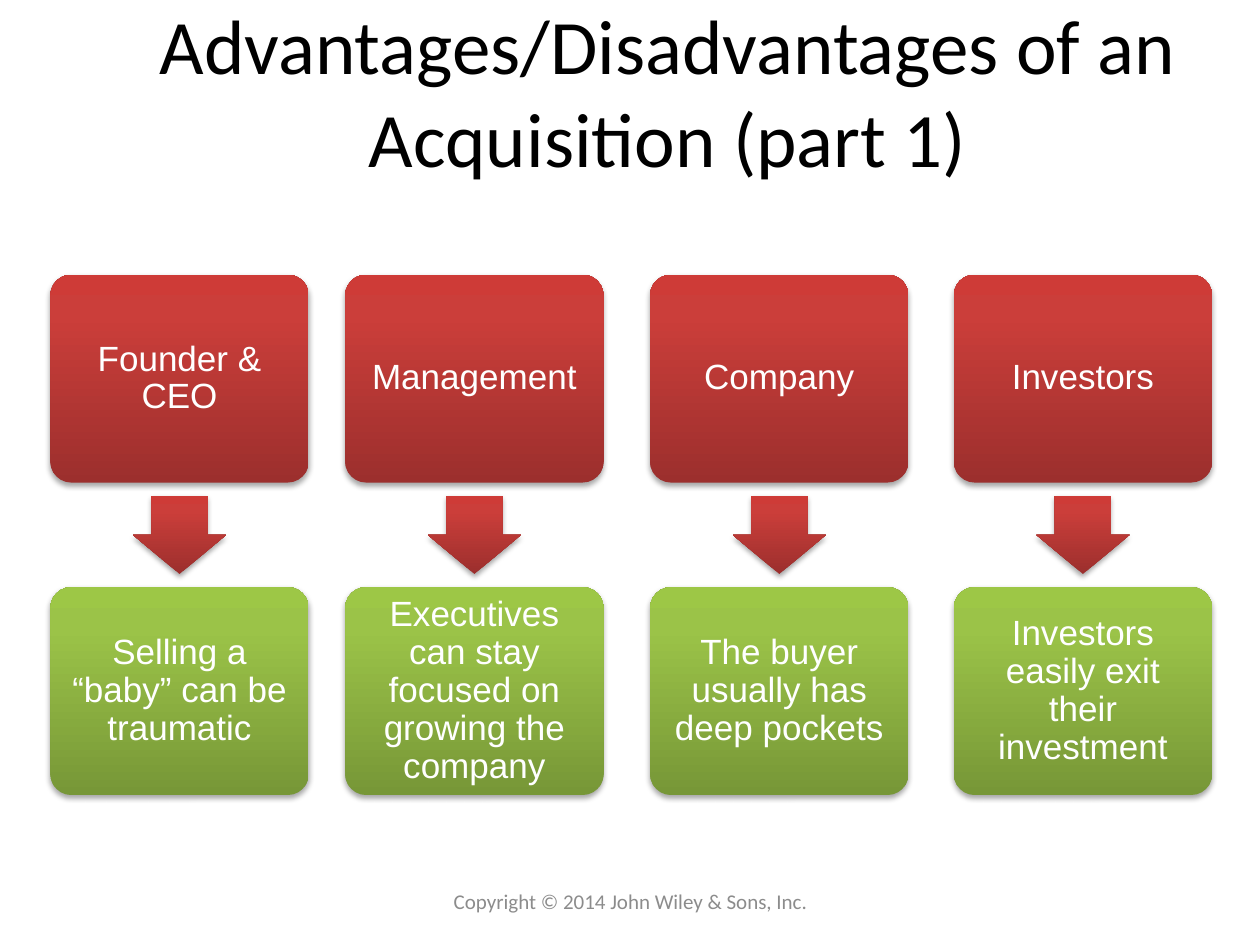
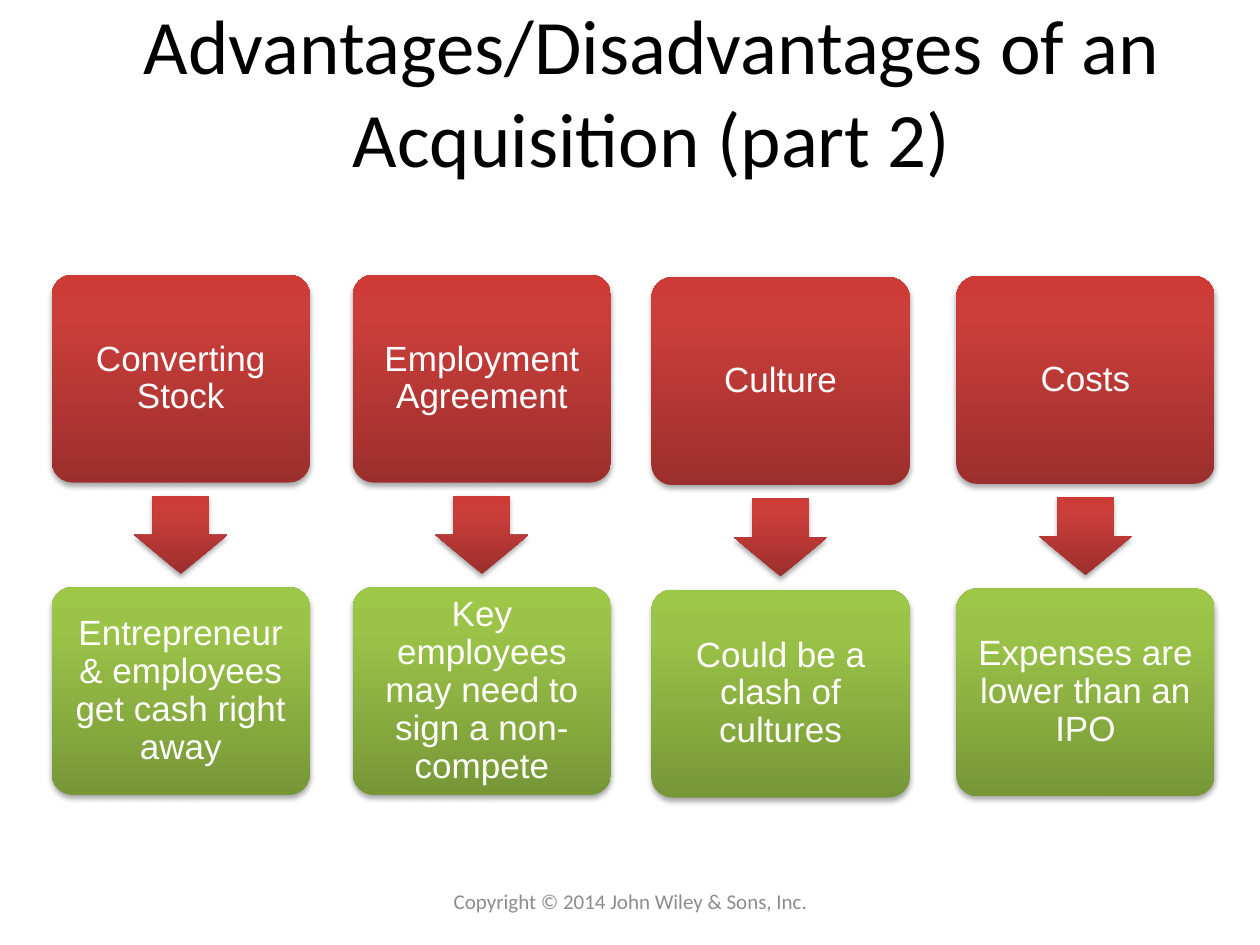
import copy
import pptx
import pptx.util
import pptx.dml.color
import pptx.enum.shapes
import pptx.enum.text
import pptx.oxml
import pptx.oxml.ns

Inches, Pt = pptx.util.Inches, pptx.util.Pt
SHAPES = pptx.enum.shapes.MSO_SHAPE
qn = pptx.oxml.ns.qn

COPYRIGHT = "Copyright © 2014 John Wiley & Sons, Inc."
SLIDES = [
    {
        "title": "Advantages/Disadvantages of an Acquisition (part 1)",
        "title_box": (0.64, 0.09, 9.32, 1.25),
        "columns": [
            (0.4, 2.18, "Founder & CEO", "Selling a “baby” can be traumatic"),
            (2.74, 2.18, "Management", "Executives can stay focused on growing the company"),
            (5.16, 2.18, "Company", "The buyer usually has deep pockets"),
            (7.57, 2.18, "Investors", "Investors easily exit their investment"),
        ],
    },
    {
        "title": "Advantages/Disadvantages of an Acquisition (part 2)",
        "title_box": (0.63, 0.09, 9.09, 1.25),
        "columns": [
            (0.41, 2.18, "Converting Stock", "Entrepreneur & employees get cash right away"),
            (2.8, 2.18, "Employment Agreement", "Key employees may need to sign a non-compete"),
            (5.17, 2.2, "Culture", "Could be a clash of cultures"),
            (7.59, 2.19, "Costs", "Expenses are lower than an IPO"),
        ],
    },
]

RED = [(0, "9C2F2D"), (0.8, "CB3E3A"), (1, "CE3B37")]
GREEN = [(0, "779737"), (0.8, "9BC348"), (1, "9DC746")]
BLACK, WHITE, GREY = "000000", "FFFFFF", "8C8C8C"

CARD_W, CARD_H = 2.05, 1.65
ARROW_LENGTH, ARROW_SPAN = 0.62, 0.74
ROW_STEP = 2.48
FOOTER_BOX = (3.42, 6.95, 3.17, 0.4)

SHADOW = (
    '<a:outerShdw xmlns:a="http://schemas.openxmlformats.org/drawingml/2006/main" '
    f'blurRad="{Pt(3.1)}" dist="{Pt(1.8)}" dir="5400000" rotWithShape="0">'
    f'<a:srgbClr val="{BLACK}"><a:alpha val="35000"/></a:srgbClr></a:outerShdw>'
)


def rgb(value):
    return pptx.dml.color.RGBColor.from_string(value)


def write(frame, text, font, size, color):
    frame.word_wrap = True
    frame.auto_size = pptx.enum.text.MSO_AUTO_SIZE.NONE
    frame.vertical_anchor = pptx.enum.text.MSO_ANCHOR.MIDDLE
    paragraph = frame.paragraphs[0]
    paragraph.alignment = pptx.enum.text.PP_ALIGN.CENTER
    run = paragraph.add_run()
    run.text = text
    run.font.name = font
    run.font.size = Pt(size)
    run.font.color.rgb = rgb(color)
    return paragraph


def add_glossy(group, kind, box, stops):
    shape = group.shapes.add_shape(kind, *map(Inches, box))
    shape.fill.gradient()
    shape.fill.gradient_angle = 90
    properties = shape.element.spPr
    gradient = properties.find(qn("a:gradFill"))
    gradient.set("rotWithShape", "0")
    stop_list = gradient.find(qn("a:gsLst"))
    stop_list.append(copy.deepcopy(stop_list[0]))
    for stop, (position, color) in zip(shape.fill.gradient_stops, stops):
        stop.position = position
        stop.color.rgb = rgb(color)
    shape.line.fill.background()
    shape.shadow.inherit = False
    properties.find(qn("a:effectLst")).append(pptx.oxml.parse_xml(SHADOW))
    return shape


def add_card(group, left, top, text, stops):
    card = add_glossy(group, SHAPES.ROUNDED_RECTANGLE, (left, top, CARD_W, CARD_H), stops)
    card.adjustments[0] = 0.1
    frame = card.text_frame
    frame.margin_left = frame.margin_right = Inches(0.08)
    frame.margin_top = frame.margin_bottom = Inches(0.08)
    write(frame, text, "Arial", 20, WHITE).line_spacing = 0.9


def add_column(slide, left, top, heading, detail):
    group = slide.shapes.add_group_shape()
    add_card(group, left, top, heading, RED)
    arrow_left = left + (CARD_W - ARROW_LENGTH) / 2
    arrow_top = top + (ROW_STEP + CARD_H - ARROW_SPAN) / 2
    arrow = add_glossy(group, SHAPES.RIGHT_ARROW,
                       (arrow_left, arrow_top, ARROW_LENGTH, ARROW_SPAN), RED)
    arrow.rotation = 90
    arrow.adjustments[0] = 0.6
    arrow.adjustments[1] = 0.5
    add_card(group, left, top + ROW_STEP, detail, GREEN)


def add_slide(deck, content):
    slide = deck.slides.add_slide(deck.slide_layouts[5])
    title = slide.shapes.title
    title.left, title.top, title.width, title.height = map(Inches, content["title_box"])
    write(title.text_frame, content["title"], "Calibri", 44, BLACK)
    for column in content["columns"]:
        add_column(slide, *column)
    footer = slide.shapes.add_textbox(*map(Inches, FOOTER_BOX))
    write(footer.text_frame, COPYRIGHT, "Calibri", 12, GREY)


def main():
    deck = pptx.Presentation()
    deck.slide_width, deck.slide_height = Inches(10), Inches(7.5)
    for content in SLIDES:
        add_slide(deck, content)
    deck.save("out.pptx")


if __name__ == "__main__":
    main()
